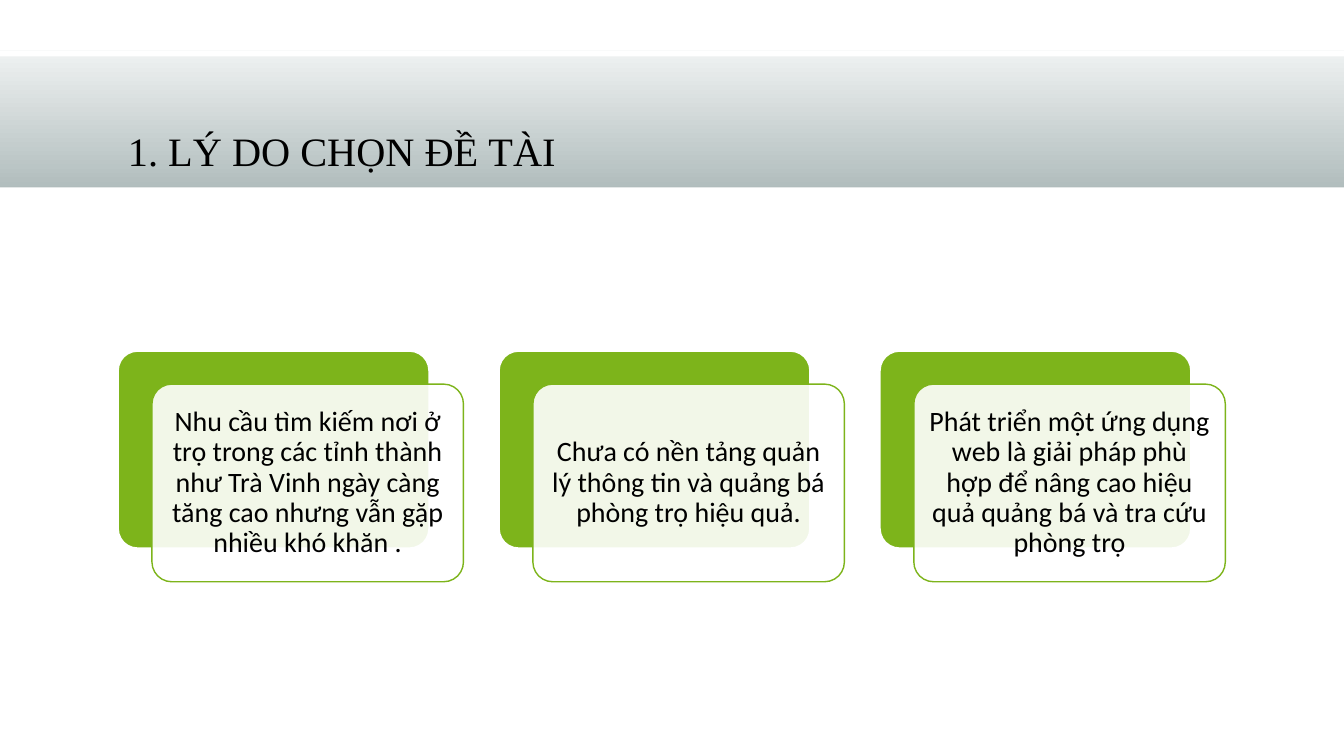
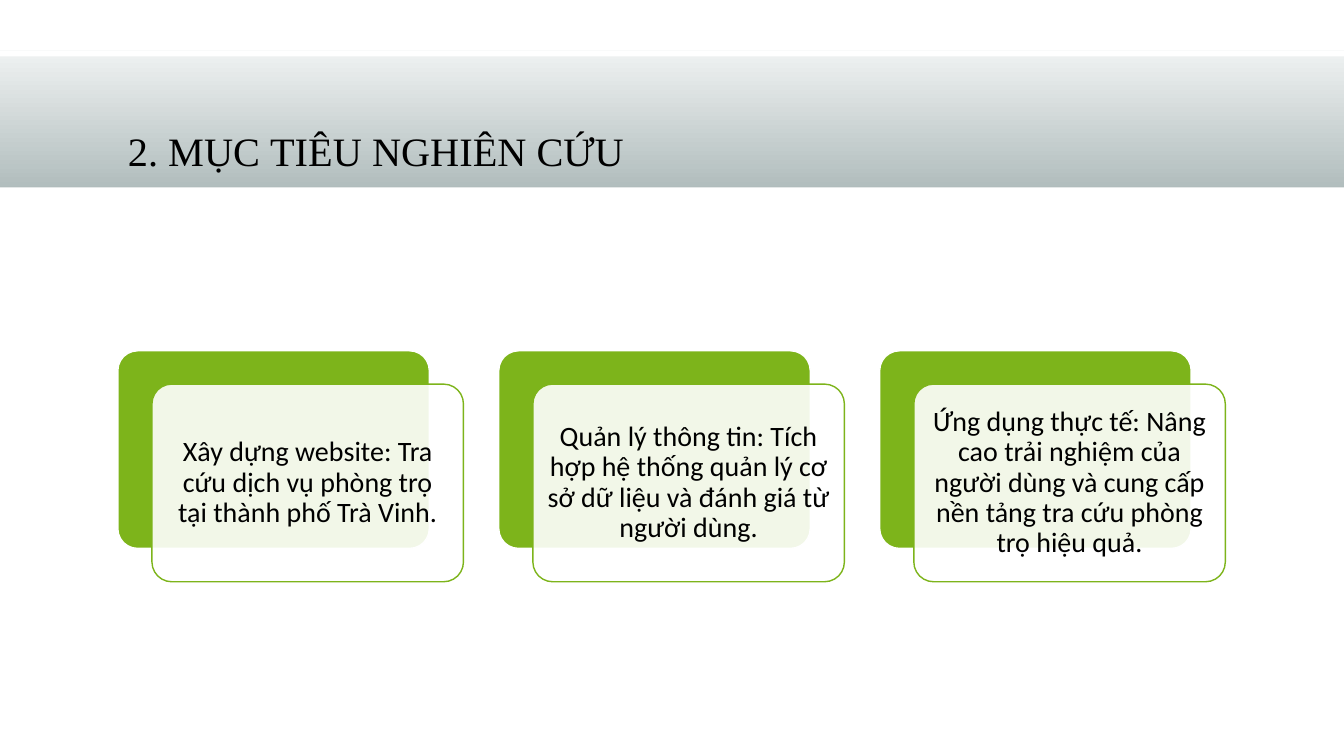
from dataclasses import dataclass

from lxml import etree
from pptx import Presentation
from pptx.dml.color import RGBColor
from pptx.enum.shapes import MSO_SHAPE
from pptx.enum.text import MSO_ANCHOR, MSO_AUTO_SIZE, PP_ALIGN
from pptx.oxml.ns import qn
from pptx.util import Cm, Pt

RECT, ROUND = MSO_SHAPE.RECTANGLE, MSO_SHAPE.ROUNDED_RECTANGLE
MIDDLE, BOTTOM = MSO_ANCHOR.MIDDLE, MSO_ANCHOR.BOTTOM
LEFT, CENTER = PP_ALIGN.LEFT, PP_ALIGN.CENTER
NO_FIT = MSO_AUTO_SIZE.NONE
TITLE_ONLY = 5


@dataclass(frozen=True)
class Theme:
    green: str = "7DB41B"
    white: str = "FFFFFF"
    black: str = "000000"
    band_top: str = "EFF2F2"
    band_bottom: str = "B0BCBC"
    title_font: str = "Times New Roman"
    body_font: str = "Calibri"
    title_size: int = 36
    body_size: int = 20


def write(tf, text, *, font, size, color, align, anchor, inset=None, small_caps=False):
    tf.word_wrap = True
    tf.auto_size = NO_FIT
    tf.vertical_anchor = anchor
    if inset is not None:
        tf.margin_left = tf.margin_right = tf.margin_top = tf.margin_bottom = inset
    p = tf.paragraphs[0]
    p.alignment = align
    p.line_spacing = 0.9
    r = p.add_run()
    r.text = text
    r.font.name = font
    r.font.size = Pt(size)
    r.font.color.rgb = RGBColor.from_string(color)
    if small_caps:
        r.font._element.set("cap", "small")


class Deck:
    def __init__(self, theme):
        self.theme = theme
        self.prs = Presentation()
        self.prs.slide_width, self.prs.slide_height = Cm(33.87), Cm(19.05)
        self.layout = self.prs.slide_layouts[TITLE_ONLY]
        self.s = None

    def slide(self, title):
        t = self.theme
        first = self.s is None
        self.s = self.prs.slides.add_slide(self.layout)
        if first:
            self.header()
        sp = self.s.shapes.title
        sp.left, sp.top, sp.width, sp.height = Cm(2.97), Cm(1.55), Cm(27.94), Cm(3.05)
        write(sp.text_frame, title, font=t.title_font, size=t.title_size,
              color=t.black, align=LEFT, anchor=BOTTOM, small_caps=True)

    def header(self):
        t = self.theme
        band = self.box(RECT, 0, 1.27, 33.87, 3.53)
        band.fill.gradient()
        band.fill.gradient_angle = 270
        for stop, color in zip(band.fill.gradient_stops, (t.band_top, t.band_bottom)):
            stop.color.rgb = RGBColor.from_string(color)
        edges = [self.box(RECT, 0, y, 33.87, 0.15, fill=t.white) for y in (4.72, 1.27)]
        for i, sp in enumerate([band, *edges]):
            self.layout.shapes.element.insert(2 + i, sp.element)

    def box(self, kind, x, y, w, h, fill=None, line=None, weight=1, alpha=None):
        sp = self.s.shapes.add_shape(kind, Cm(x), Cm(y), Cm(w), Cm(h))
        sp.shadow.inherit = False
        if kind == ROUND:
            sp.adjustments[0] = 0.1
        if fill:
            sp.fill.solid()
            sp.fill.fore_color.rgb = RGBColor.from_string(fill)
        if alpha:
            color = sp.element.spPr.find(qn("a:solidFill"))[0]
            etree.SubElement(color, qn("a:alpha")).set("val", str(alpha * 1000))
        if line:
            sp.line.color.rgb = RGBColor.from_string(line)
            sp.line.width = Pt(weight)
        else:
            sp.line.fill.background()
        return sp

    def cards(self, texts, weight):
        t = self.theme
        y, w, h = 8.84, 7.85, 4.98
        for i, text in enumerate(texts):
            x = 2.97 + 9.6 * i
            self.box(ROUND, x, y, w, h, fill=t.green, line=t.white, weight=weight)
            sp = self.box(ROUND, x + 0.86, y + 0.84, w, h,
                          fill=t.white, line=t.green, alpha=90)
            write(sp.text_frame, text, font=t.body_font, size=t.body_size,
                  color=t.black, align=CENTER, anchor=MIDDLE, inset=Cm(0.2))


SLIDES = [
    ("1. lý do chọn đề tài", 1.5, [
        "Nhu cầu tìm kiếm nơi ở trọ trong các tỉnh thành như Trà Vinh ngày càng tăng cao nhưng vẫn gặp nhiều khó khăn .",
        "Chưa có nền tảng quản lý thông tin và quảng bá phòng trọ hiệu quả.",
        "Phát triển một ứng dụng web là giải pháp phù hợp để nâng cao hiệu quả quảng bá và tra cứu phòng trọ",
    ]),
    ("2. mục tiêu nghiên cứu", 1, [
        "Xây dựng website: Tra cứu dịch vụ phòng trọ tại thành phố Trà Vinh.",
        "Quản lý thông tin: Tích hợp hệ thống quản lý cơ sở dữ liệu và đánh giá từ người dùng.",
        "Ứng dụng thực tế: Nâng cao trải nghiệm của người dùng và cung cấp nền tảng tra cứu phòng trọ hiệu quả.",
    ]),
]


def main():
    deck = Deck(Theme())
    for title, weight, texts in SLIDES:
        deck.slide(title)
        deck.cards(texts, weight)
    deck.prs.save("out.pptx")


if __name__ == "__main__":
    main()
